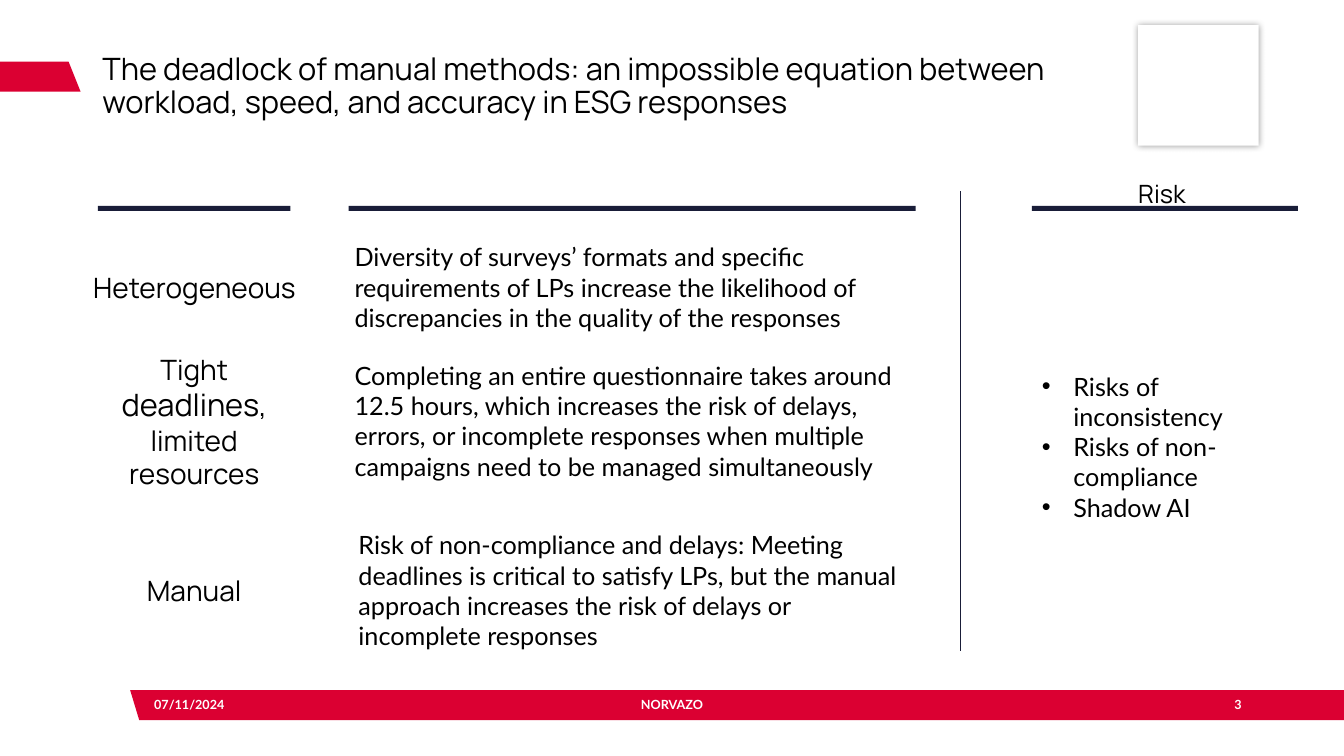
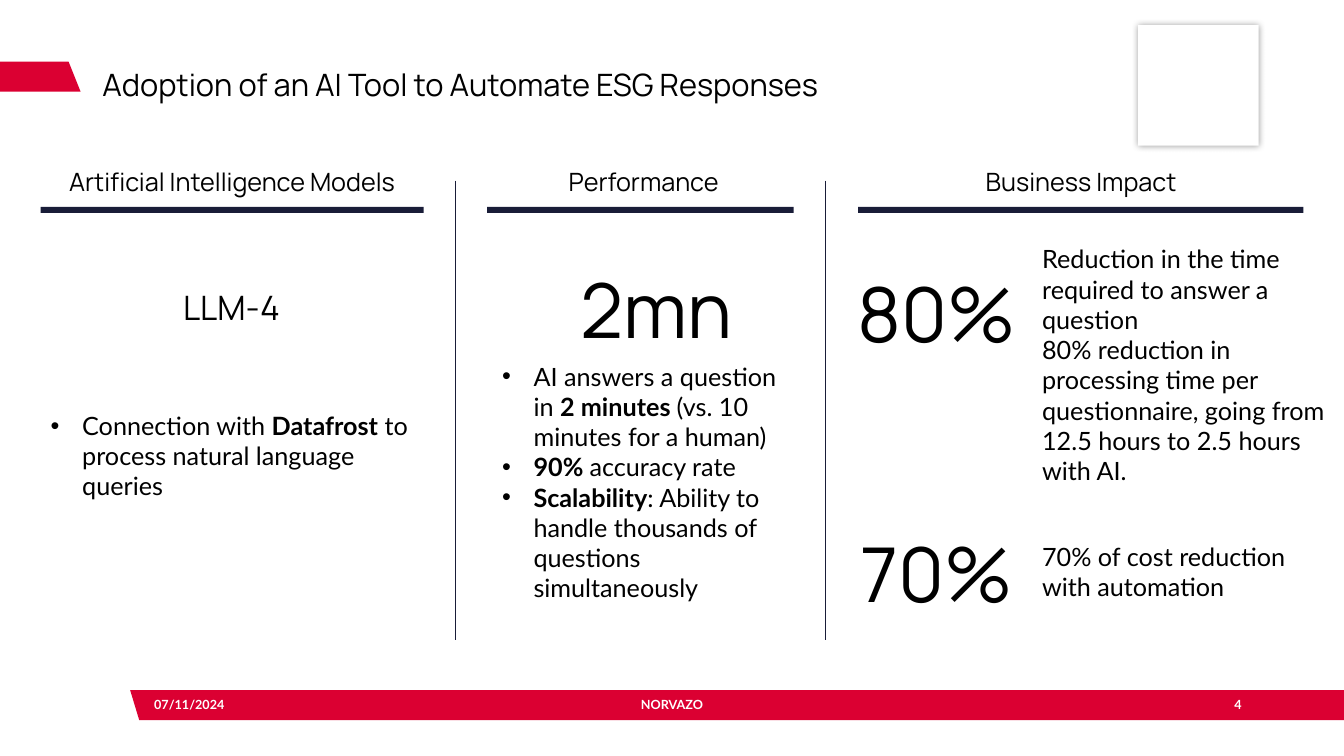
import pptx
import pptx.dml.color
import pptx.enum.shapes
import pptx.enum.text
import pptx.oxml
import pptx.oxml.ns
import pptx.util
from lxml import etree

Pt = pptx.util.Pt
RGBColor = pptx.dml.color.RGBColor
ALIGN = pptx.enum.text.PP_ALIGN
ANCHOR = pptx.enum.text.MSO_ANCHOR
qn = pptx.oxml.ns.qn

RED = RGBColor(0xDB, 0x00, 0x32)
NAVY = RGBColor(0x19, 0x1D, 0x38)
BLACK = RGBColor(0x00, 0x00, 0x00)
WHITE = RGBColor(0xFF, 0xFF, 0xFF)

TITLE = {"name": "Manrope", "size": Pt(22)}
HEADING = {"name": "Manrope", "size": Pt(18)}
LABEL = {"name": "Manrope", "size": Pt(20)}
MODEL = {"name": "Manrope", "size": Pt(24)}
FIGURE = {"name": "Manrope", "size": Pt(54)}
BODY = {"name": "Lato", "size": Pt(18)}
FOOTER = {"name": "Lato", "size": Pt(9), "bold": True}
BOLD = {"bold": True}
LARGER = {"size": Pt(22)}

SHADOW = (
    '<a:effectLst xmlns:a="http://schemas.openxmlformats.org/drawingml/2006/main">'
    '<a:outerShdw blurRad="63500" dist="0" dir="0" algn="ctr" rotWithShape="0">'
    '<a:srgbClr val="000000"><a:alpha val="40000"/></a:srgbClr>'
    "</a:outerShdw></a:effectLst>"
)


def set_attributes(target, values):
    for name, value in values.items():
        setattr(target, name, value)


def place(shape, left, top, width, height):
    set_attributes(shape, {"left": Pt(left), "top": Pt(top),
                           "width": Pt(width), "height": Pt(height)})


def add_bullet(paragraph):
    properties = paragraph._p.get_or_add_pPr()
    properties.set("marL", str(Pt(22.5)))
    properties.set("indent", str(Pt(-22.5)))
    etree.SubElement(properties, qn("a:buFont")).set("typeface", "Arial")
    etree.SubElement(properties, qn("a:buChar")).set("char", "•")


def write(shape, paragraphs, style, color=BLACK, align=ALIGN.LEFT,
          anchor=ANCHOR.MIDDLE, spacing=1.0, bullets=False):
    frame = shape.text_frame
    set_attributes(frame, {"word_wrap": True, "vertical_anchor": anchor,
                           "auto_size": pptx.enum.text.MSO_AUTO_SIZE.NONE})
    for index, runs in enumerate(paragraphs):
        paragraph = frame.add_paragraph() if index else frame.paragraphs[0]
        if bullets:
            add_bullet(paragraph)
        set_attributes(paragraph, {"alignment": align, "line_spacing": spacing,
                                   "space_before": Pt(0)})
        for text, changes in runs:
            run = paragraph.add_run()
            run.text = text
            set_attributes(run.font, {**style, **changes})
            run.font.color.rgb = color


def plain(*lines):
    return [[(line, {})] for line in lines]


def add_text(slide, box, paragraphs, style, **options):
    shape = slide.shapes.add_textbox(*map(Pt, box))
    write(shape, paragraphs, style, **options)
    return shape


def add_centered(slide, box, text, style, **options):
    return add_text(slide, box, plain(text), style, align=ALIGN.CENTER, **options)


def paint(shape, color):
    shape.shadow.inherit = False
    shape.fill.solid()
    shape.fill.fore_color.rgb = color
    shape.line.fill.background()
    return shape


def add_rectangle(slide, box, color):
    rectangle = pptx.enum.shapes.MSO_SHAPE.RECTANGLE
    return paint(slide.shapes.add_shape(rectangle, *map(Pt, box)), color)


def add_polygon(slide, points, color):
    start, *others = [(Pt(x), Pt(y)) for x, y in points]
    builder = slide.shapes.build_freeform(*start)
    builder.add_line_segments(others, close=True)
    return paint(builder.convert_to_shape(), color)


def add_divider(slide, x, top):
    straight = pptx.enum.shapes.MSO_CONNECTOR.STRAIGHT
    line = slide.shapes.add_connector(straight, Pt(x), Pt(top), Pt(x), Pt(top + 328.3))
    line.line.color.rgb = NAVY
    line.line.width = Pt(0.5)
    etree.SubElement(line._element.spPr, qn("a:effectLst"))


def add_list(slide, index, box, items, anchor):
    placeholder = slide.placeholders[index]
    place(placeholder, *box)
    write(placeholder, items, BODY, anchor=anchor, bullets=True)


def add_slide(presentation, layout_index, title, number):
    slide = presentation.slides.add_slide(presentation.slide_layouts[layout_index])
    place(slide.shapes.title, 66, 42, 739, 40)
    write(slide.shapes.title, plain(title), TITLE, spacing=0.9)
    add_text(slide, (837, 489, 57, 29), plain(number), FOOTER,
             color=WHITE, align=ALIGN.RIGHT)
    return slide


def add_frame(presentation, slide):
    square = add_rectangle(slide, (813, 18, 86, 86), WHITE)
    properties = square._element.spPr
    properties.remove(properties.find(qn("a:effectLst")))
    properties.append(pptx.oxml.parse_xml(SHADOW))
    shapes = [
        add_polygon(slide, [(49, 44), (0, 44), (0, 65.5), (57.6, 65.5)], RED),
        add_polygon(slide, [(93, 493), (960, 493), (960, 514.5), (99.5, 514.5)], RED),
        square,
        add_text(slide, (103, 489, 104, 29), plain("07/11/2024"), FOOTER, color=WHITE),
        add_centered(slide, (300, 489, 360, 29), "NORVAZO", FOOTER, color=WHITE),
    ]
    for identifier, shape in enumerate(shapes, 101):
        shape.element.xpath("./p:nvSpPr/p:cNvPr")[0].set("id", str(identifier))
        presentation.slide_master.shapes.element.append(shape.element)


def build_deadlock(presentation):
    slide = add_slide(presentation, 1, "The deadlock of manual methods: an impossible equation "
                      "between workload, speed, and accuracy in ESG responses", "3")
    add_frame(presentation, slide)
    for left, width in ((70, 137.5), (249, 405), (737, 190)):
        add_rectangle(slide, (left, 147, width, 3.6), NAVY)
    add_divider(slide, 685.7, 136.5)
    add_centered(slide, (737, 129.6, 186, 17.3), "Risk", HEADING)
    rows = [
        ((52, 189.5, 174, 31.5), [("Heterogeneous", {})],
         (246.2, 168.5, 405, 73),
         "Diversity of surveys’ formats and specific requirements of LPs increase the "
         "likelihood of discrepancies in the quality of the responses"),
        ((70, 247.7, 137.5, 106.6),
         [("Tight ", {}), ("deadlines", LARGER), (", limited resources", {})],
         (246.2, 253.4, 405, 94.3),
         "Completing an entire questionnaire takes around 12.5 hours, which increases the "
         "risk of delays, errors, or incomplete responses when multiple campaigns need to "
         "be managed simultaneously"),
        ((70, 406, 137.5, 31.5), [("Manual", {})],
         (249, 374.4, 405, 94.3),
         "Risk of non-compliance and delays: Meeting deadlines is critical to satisfy LPs, "
         "but the manual approach increases the risk of delays or incomplete responses"),
    ]
    for label_box, label, description_box, description in rows:
        add_text(slide, label_box, [label], LABEL, align=ALIGN.CENTER)
        add_text(slide, description_box, plain(description), BODY)
    add_list(slide, 1, (737, 176.4, 190, 285),
             plain("Risks of inconsistency", "Risks of non-compliance", "Shadow AI"),
             ANCHOR.MIDDLE)


def build_adoption(presentation):
    slide = add_slide(presentation, 3, "Adoption of an AI Tool to Automate ESG Responses", "4")
    columns = [
        ("Artificial Intelligence Models", (29, 111, 273.6, 40), 29, 273.6),
        ("Performance", (337, 116.6, 245.5, 29), 348, 219),
        ("Business Impact", (649.5, 116.6, 245.5, 29), 613, 318),
    ]
    for heading, heading_box, rule_left, rule_width in columns:
        add_centered(slide, heading_box, heading, HEADING, spacing=0.9)
        add_rectangle(slide, (rule_left, 147.8, rule_width, 4.3), NAVY)
    for x in (325.4, 589.7):
        add_divider(slide, x, 129)
    add_centered(slide, (75, 201.6, 180.7, 36), "LLM-4", MODEL)
    for left, top, figure in ((400.3, 183.6, "2mn"), (600.5, 186.5, "80%"), (600.5, 372.2, "70%")):
        add_centered(slide, (left, top, 137.5, 72.7), figure, FIGURE)
    add_list(slide, 1, (29, 289.4, 273.6, 183.6), [
        [("Connection with ", {}), ("Datafrost", BOLD),
         (" to process natural language queries", {})],
    ], ANCHOR.TOP)
    add_list(slide, 2, (351.4, 254.2, 219, 204.5), [
        [("AI answers a question in ", {}), ("2 minutes ", BOLD),
         ("(vs. 10 minutes for a human)", {})],
        [("90% ", BOLD), ("accuracy rate", {})],
        [("Scalability", BOLD),
         (": Ability to handle thousands of questions simultaneously", {})],
    ], ANCHOR.TOP)
    add_text(slide, (737.3, 170.6, 217.5, 103.7), plain(
        "Reduction in the time required to answer a question",
        "80% reduction in processing time per questionnaire, going from 12.5 hours "
        "to 2.5 hours with AI."), BODY, anchor=ANCHOR.TOP)
    add_text(slide, (737.3, 373.7, 217.5, 69),
             plain("70% of cost reduction with automation"), BODY)


def main():
    presentation = pptx.Presentation()
    set_attributes(presentation, {"slide_width": Pt(960), "slide_height": Pt(540)})
    build_deadlock(presentation)
    build_adoption(presentation)
    presentation.save("out.pptx")


if __name__ == "__main__":
    main()
